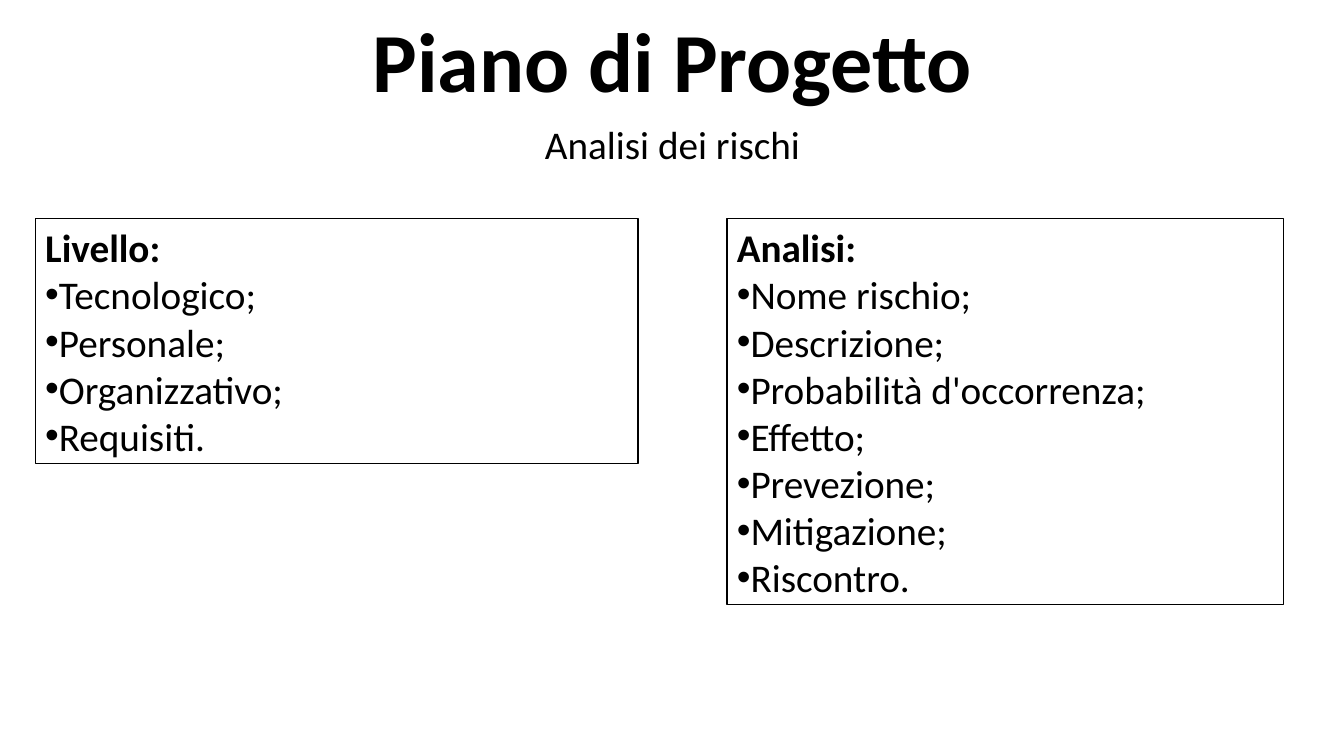
from pptx import Presentation
from pptx.dml.color import RGBColor
from pptx.enum.shapes import MSO_SHAPE
from pptx.enum.text import MSO_ANCHOR, MSO_AUTO_SIZE, PP_ALIGN
from pptx.oxml.ns import qn
from pptx.util import Inches, Pt
from lxml import etree

BLACK = RGBColor(0, 0, 0)
WHITE = RGBColor(255, 255, 255)
RECT = MSO_SHAPE.RECTANGLE
TOP, BOTTOM = MSO_ANCHOR.TOP, MSO_ANCHOR.BOTTOM
NO_FIT = MSO_AUTO_SIZE.NONE
LEFT, CENTER = PP_ALIGN.LEFT, PP_ALIGN.CENTER


def place(sp, box):
    sp.left, sp.top, sp.width, sp.height = [Inches(v) for v in box]


def write(p, text, size, bold, align):
    p.alignment = align
    p.line_spacing = 0.9 if size == 60 else 1.0
    p.space_before = p.space_after = Pt(0)
    r = p.add_run()
    r.text = text
    font = {"name": "Calibri", "size": Pt(size), "bold": bold}
    for key, value in font.items():
        setattr(r.font, key, value)
    r.font.color.rgb = BLACK


prs = Presentation()
prs.slide_width, prs.slide_height = Inches(13.33), Inches(7.5)
s = prs.slides.add_slide(prs.slide_layouts[0])

headings = [
    ("Piano di Progetto", (1.67, 0, 10, 1.15), 60, True, BOTTOM),
    ("Analisi dei rischi", (1.67, 1.14, 10, 0.9), 28, False, TOP),
]
for sp, (text, box, size, bold, anchor) in zip(s.placeholders, headings):
    place(sp, box)
    tf = sp.text_frame
    tf.auto_size = NO_FIT
    tf.vertical_anchor = anchor
    write(tf.paragraphs[0], text, size, bold, CENTER)

panels = [
    ("Livello:", (0.35, 2.17, 5.98, 2.43),
     ["Tecnologico;", "Personale;", "Organizzativo;", "Requisiti."]),
    ("Analisi:", (7.21, 2.17, 5.52, 3.83),
     ["Nome rischio;", "Descrizione;", "Probabilità d'occorrenza;", "Effetto;",
      "Prevezione;", "Mitigazione;", "Riscontro."]),
]
for heading, box, items in panels:
    sp = s.shapes.add_shape(RECT, *[Inches(v) for v in box])
    sp.shadow.inherit = False
    sp.fill.solid()
    sp.fill.fore_color.rgb = WHITE
    sp.line.color.rgb = BLACK
    sp.line.width = Pt(1)
    tf = sp.text_frame
    tf.word_wrap = True
    tf.vertical_anchor = TOP
    write(tf.paragraphs[0], heading, 28, True, LEFT)
    for item in items:
        p = tf.add_paragraph()
        write(p, item, 28, False, LEFT)
        pPr = p._p.get_or_add_pPr()
        etree.SubElement(pPr, qn("a:buFont")).set("typeface", "Arial")
        etree.SubElement(pPr, qn("a:buChar")).set("char", "•")

prs.save("out.pptx")
